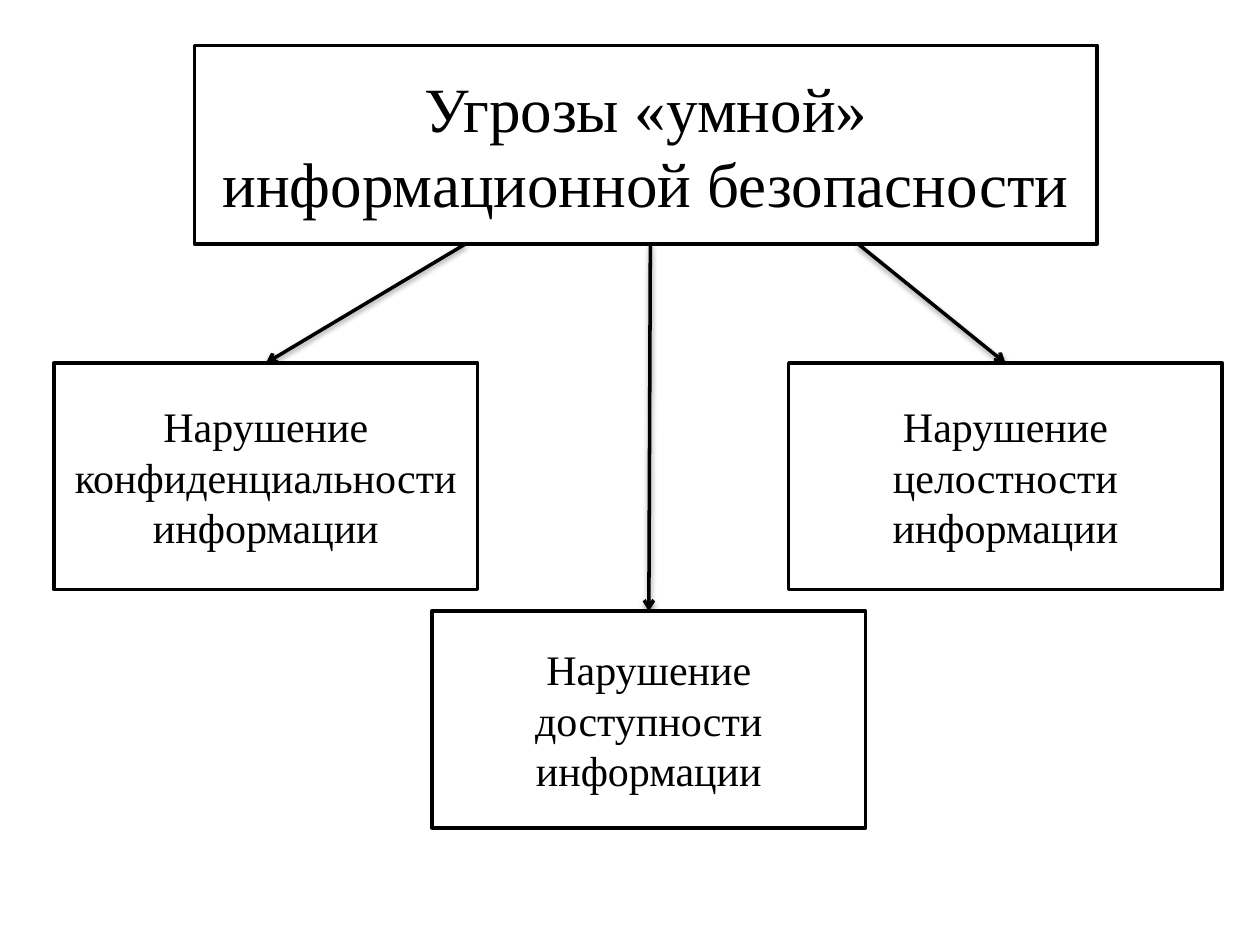
from lxml.etree import SubElement
from pptx import Presentation
from pptx.dml.color import RGBColor
from pptx.enum.shapes import MSO_CONNECTOR, MSO_SHAPE
from pptx.enum.text import MSO_ANCHOR, PP_ALIGN
from pptx.oxml import parse_xml
from pptx.oxml.ns import nsdecls, qn
from pptx.util import Cm, Pt

COLORS = {"ink": "000000", "paper": "FFFFFF"}
TITLE_BOX = (3.92, 0.92, 18.2, 4)
TITLE_BOTTOM = TITLE_BOX[1] + TITLE_BOX[3]

# Arrow start on the title's lower edge, box (left, top, width, height), text
THREATS = [
    (9.38, (1.09, 7.32, 8.54, 4.57), "Нарушение конфиденциальности информации"),
    (13.11, (8.71, 12.32, 8.74, 4.37), "Нарушение доступности информации"),
    (17.3, (15.9, 7.32, 8.74, 4.57), "Нарушение целостности информации"),
]


def write_text(shape, text, *, size, font="Times New Roman", color=COLORS["ink"]):
    frame = shape.text_frame
    frame.word_wrap = True
    frame.vertical_anchor = MSO_ANCHOR.MIDDLE
    paragraph = frame.paragraphs[0]
    paragraph.alignment = PP_ALIGN.CENTER
    run = paragraph.add_run()
    run.text = text
    run.font.name = font
    run.font.size = Pt(size)
    run.font.color.rgb = RGBColor.from_string(color)


class Diagram:
    """Holds the line style and the slide being drawn."""

    line_width = Pt(2)

    def __init__(self, slide):
        self.slide = slide

    def outline(self, shape):
        shape.line.color.rgb = RGBColor.from_string(COLORS["ink"])
        shape.line.width = self.line_width

    def frame(self, shape):
        """Give a shape the white fill and black border of every box."""
        shape.fill.solid()
        shape.fill.fore_color.rgb = RGBColor.from_string(COLORS["paper"])
        self.outline(shape)

    def title(self, box, text):
        title = self.slide.shapes.title
        title.left, title.top, title.width, title.height = map(Cm, box)
        self.frame(title)
        write_text(title, text, size=36)

    def box(self, box, text):
        shape = self.slide.shapes.add_shape(MSO_SHAPE.RECTANGLE, *map(Cm, box))
        shape.shadow.inherit = False
        self.frame(shape)
        write_text(shape, text, size=24)

    def arrow(self, start, end):
        connector = self.slide.shapes.add_connector(
            MSO_CONNECTOR.STRAIGHT, *map(Cm, start + end))
        self.outline(connector)
        properties = connector._element.spPr
        SubElement(properties.find(qn("a:ln")), qn("a:tailEnd"), type="arrow")
        properties.append(parse_xml(
            f'<a:effectLst {nsdecls("a")}>'
            '<a:outerShdw blurRad="40000" dist="20000" dir="5400000" rotWithShape="0">'
            f'<a:srgbClr val="{COLORS["ink"]}"><a:alpha val="38000"/></a:srgbClr>'
            '</a:outerShdw></a:effectLst>'))


def main():
    presentation = Presentation()
    presentation.slide_width, presentation.slide_height = Cm(25.4), Cm(19.05)
    title_only = presentation.slide_layouts[5]
    diagram = Diagram(presentation.slides.add_slide(title_only))

    diagram.title(TITLE_BOX, "Угрозы «умной» информационной безопасности")
    for start, (left, top, width, _), _ in THREATS:
        diagram.arrow((start, TITLE_BOTTOM), (left + width / 2, top))
    for _, box, text in THREATS:
        diagram.box(box, text)

    presentation.save("out.pptx")


if __name__ == "__main__":
    main()
